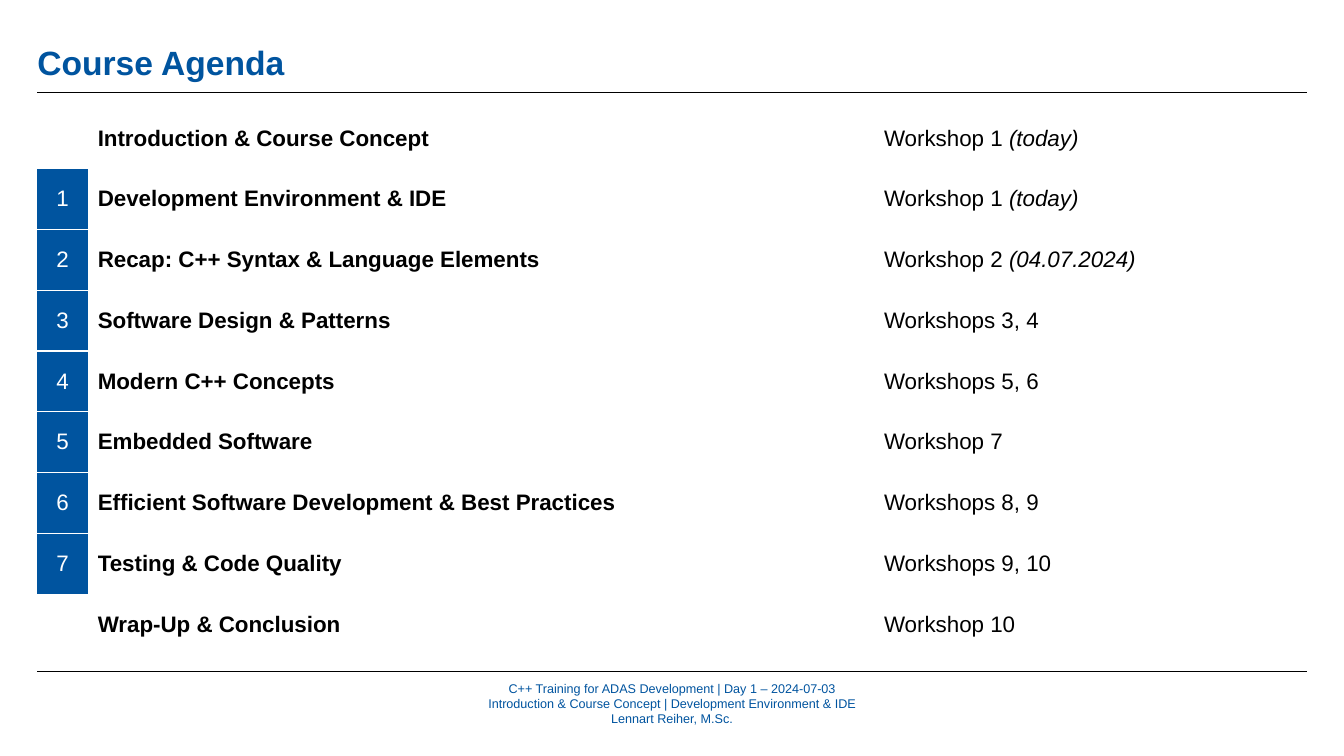
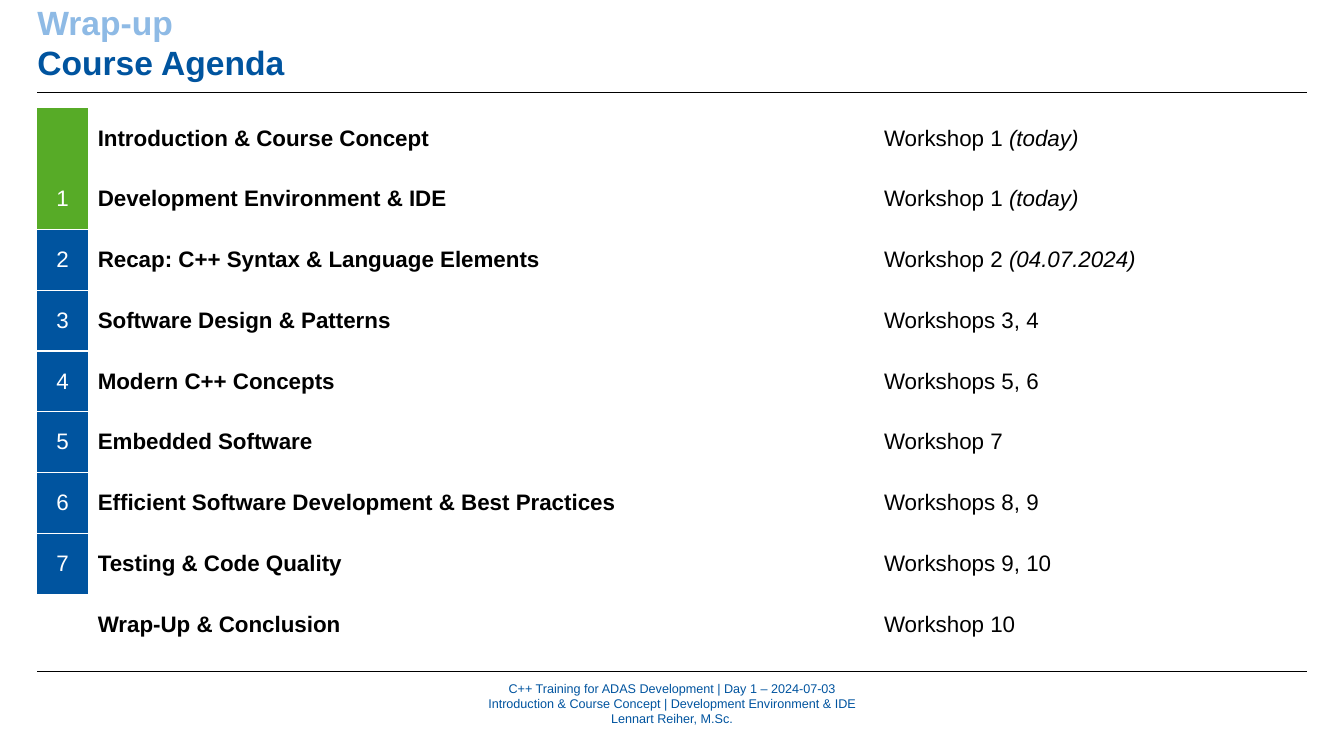
import dataclasses

import lxml.etree
import pptx
import pptx.dml.color
import pptx.enum.shapes
import pptx.enum.text
import pptx.oxml.ns
import pptx.util

Pt = pptx.util.Pt
qn = pptx.oxml.ns.qn


@dataclasses.dataclass(frozen=True)
class Theme:
    font: str = "Arial"
    blue: str = "00549F"
    light_blue: str = "8EBAE5"
    green: str = "57AB27"
    black: str = "000000"
    white: str = "FFFFFF"
    title_size: float = 24
    table_size: float = 16
    footer_size: float = 9
    rule_width: float = 0.5
    border_width: float = 1


theme = Theme()
NO_GRID_STYLE = "{2D5ABB26-0587-4C30-8999-92F81FD0307C}"
LEFT, WIDTH = 26.64, 907.2
RULE_TOPS = (66.24, 479.52)
TABLE_TOP, ROW_HEIGHT = 77.04, 43.44
COLUMN_WIDTHS = (36, 561.6, 309.6)
FOOTER = (
    "C++ Training for ADAS Development | Day 1 – 2024-07-03\n"
    "Introduction & Course Concept | Development Environment & IDE\n"
    "Lennart Reiher, M.Sc."
)
AGENDA = [
    ("", "Introduction & Course Concept", "Workshop 1 ", "(today)"),
    ("1", "Development Environment & IDE", "Workshop 1 ", "(today)"),
    ("2", "Recap: C++ Syntax & Language Elements", "Workshop 2 ", "(04.07.2024)"),
    ("3", "Software Design & Patterns", "Workshops 3, 4", ""),
    ("4", "Modern C++ Concepts", "Workshops 5, 6", ""),
    ("5", "Embedded Software", "Workshop 7", ""),
    ("6", "Efficient Software Development & Best Practices", "Workshops 8, 9", ""),
    ("7", "Testing & Code Quality", "Workshops 9, 10", ""),
    ("", "Wrap-Up & Conclusion", "Workshop 10", ""),
]
SLIDES = [
    ([("Course Agenda", theme.blue)], 0),
    ([("Wrap-up", theme.light_blue), ("Course Agenda", theme.blue)], 2),
]


def format_runs(paragraph, size, color, bold=False):
    for run in paragraph.runs:
        run.font.name = theme.font
        run.font.size = Pt(size)
        run.font.bold = bold
        run.font.color.rgb = pptx.dml.color.RGBColor.from_string(color)


def add_text(slide, left, top, width, height, text, anchor):
    frame = slide.shapes.add_textbox(Pt(left), Pt(top), Pt(width), Pt(height)).text_frame
    frame.margin_left = frame.margin_right = frame.margin_top = frame.margin_bottom = 0
    frame.word_wrap = True
    frame.vertical_anchor = anchor
    frame.text = text
    return frame


presentation = pptx.Presentation()
presentation.slide_width = Pt(960)
presentation.slide_height = Pt(540)

for title_lines, finished_rows in SLIDES:
    slide = presentation.slides.add_slide(presentation.slide_layouts[6])

    footer = add_text(slide, 247, 486, 466, 33.12, FOOTER, pptx.enum.text.MSO_ANCHOR.MIDDLE)
    for paragraph in footer.paragraphs:
        paragraph.alignment = pptx.enum.text.PP_ALIGN.CENTER
        format_runs(paragraph, theme.footer_size, theme.blue)

    for rule_top in RULE_TOPS:
        rule = slide.shapes.add_connector(
            pptx.enum.shapes.MSO_CONNECTOR.STRAIGHT,
            Pt(LEFT), Pt(rule_top), Pt(LEFT + WIDTH), Pt(rule_top),
        )
        rule.line.width = Pt(theme.rule_width)
        rule.line.color.rgb = pptx.dml.color.RGBColor.from_string(theme.black)
        lxml.etree.SubElement(rule.element.spPr, qn("a:effectLst"))

    title_text = "\n".join(text for text, color in title_lines)
    title = add_text(slide, LEFT, 3.6, WIDTH, 55.2, title_text, pptx.enum.text.MSO_ANCHOR.BOTTOM)
    for paragraph, (text, color) in zip(title.paragraphs, title_lines):
        format_runs(paragraph, theme.title_size, color, bold=True)

    table_shape = slide.shapes.add_table(
        len(AGENDA), len(COLUMN_WIDTHS),
        Pt(LEFT), Pt(TABLE_TOP), Pt(WIDTH), Pt(ROW_HEIGHT * len(AGENDA)),
    )
    next(table_shape.element.iter(qn("a:tableStyleId"))).text = NO_GRID_STYLE
    table = table_shape.table
    table.first_row = table.horz_banding = False
    for column, column_width in zip(table.columns, COLUMN_WIDTHS):
        column.width = Pt(column_width)

    for row_index, (number, topic, workshop, date) in enumerate(AGENDA):
        table.rows[row_index].height = Pt(ROW_HEIGHT)
        number_cell, topic_cell, workshop_cell = table.rows[row_index].cells
        for cell, text in zip((number_cell, topic_cell, workshop_cell), (number, topic, workshop)):
            cell.vertical_anchor = pptx.enum.text.MSO_ANCHOR.MIDDLE
            cell.fill.background()
            cell.text_frame.text = text

        number_paragraph = number_cell.text_frame.paragraphs[0]
        number_paragraph.alignment = pptx.enum.text.PP_ALIGN.CENTER
        format_runs(number_paragraph, theme.table_size, theme.white)
        format_runs(topic_cell.text_frame.paragraphs[0], theme.table_size, theme.black, bold=True)
        workshop_paragraph = workshop_cell.text_frame.paragraphs[0]
        if date:
            date_run = workshop_paragraph.add_run()
            date_run.text = date
            date_run.font.italic = True
        format_runs(workshop_paragraph, theme.table_size, theme.black)

        finished = row_index < finished_rows
        if finished or number:
            number_cell.fill.solid()
            fill_color = theme.green if finished else theme.blue
            number_cell.fill.fore_color.rgb = pptx.dml.color.RGBColor.from_string(fill_color)

        borders = []
        if row_index > 1:
            borders.append("a:lnT")
        if number:
            borders.append("a:lnB")
        for position, tag in enumerate(borders):
            border = lxml.etree.Element(qn(tag), w=str(Pt(theme.border_width)))
            border_fill = lxml.etree.SubElement(border, qn("a:solidFill"))
            lxml.etree.SubElement(border_fill, qn("a:srgbClr"), val=theme.white)
            number_cell._tc.get_or_add_tcPr().insert(position, border)

presentation.save("out.pptx")
